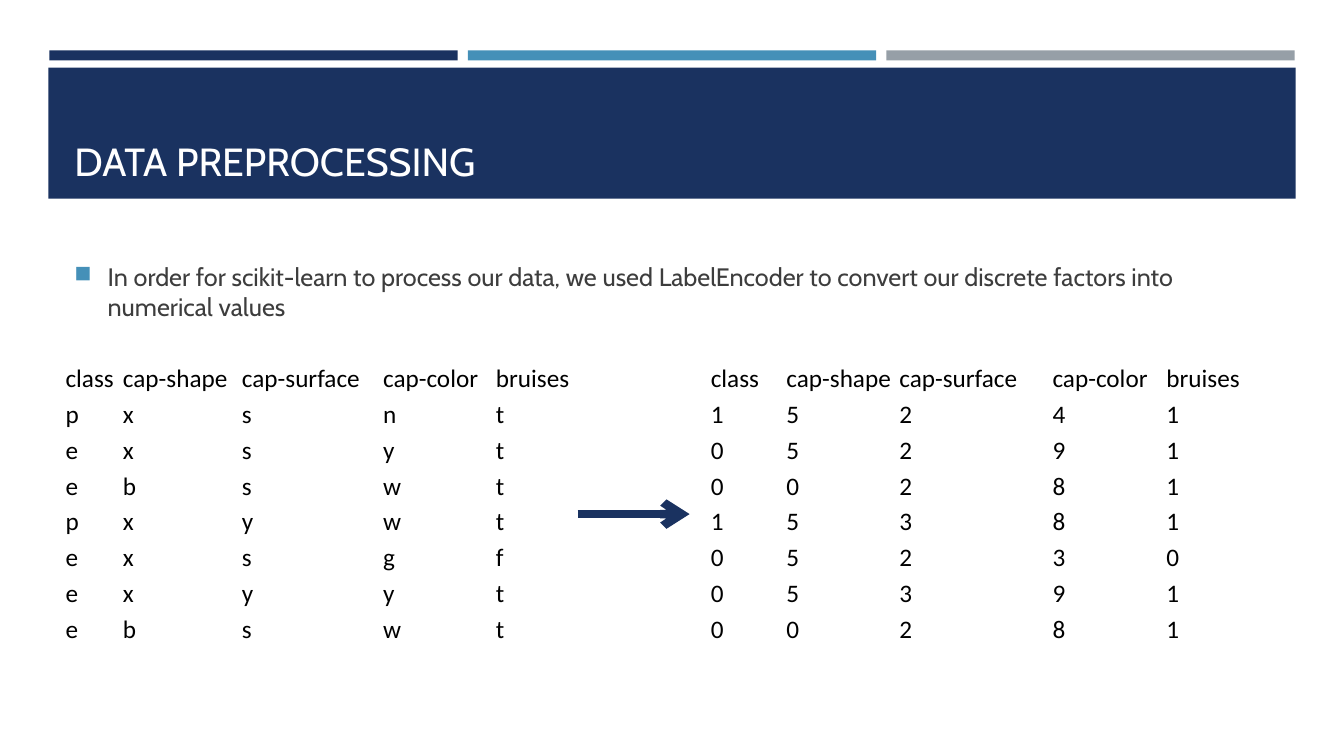
from dataclasses import dataclass

import pptx
import pptx.dml.color
import pptx.enum.shapes
import pptx.enum.text
import pptx.oxml
import pptx.oxml.ns
import pptx.util
from pptx.util import Inches

ANCHOR = pptx.enum.text.MSO_ANCHOR
NO_STYLE = "{2D5ABB26-0587-4C30-8999-92F81FD0307C}"


@dataclass(frozen=True)
class Theme:
    navy: str = "1A3260"
    blue: str = "4590B8"
    gray: str = "969FA7"
    white: str = "FFFFFF"
    body: str = "3D3D3D"
    black: str = "000000"
    heading_font: str = "Cabin"
    table_font: str = "Calibri"
    title_size: float = 28
    text_size: float = 18
    arrow_width: float = 6


@dataclass(frozen=True)
class Box:
    left: float
    top: float
    width: float
    height: float

    def emu(self) -> tuple:
        return tuple(Inches(v) for v in (self.left, self.top, self.width, self.height))


@dataclass(frozen=True)
class DataTable:
    left: float
    widths: tuple
    rows: tuple


THEME = Theme()
HEADER = "class cap-shape cap-surface cap-color bruises"
TABLE_TOP, ROW_HEIGHT = 3.56, 2.84 / 8
TABLES = (
    DataTable(0.64, (0.57, 1.18, 1.4, 1.12, 1.02),
              ("p x s n t", "e x s y t", "e b s w t", "p x y w t",
               "e x s g f", "e x y y t", "e b s w t")),
    DataTable(7.04, (0.75, 1.12, 1.52, 1.13, 1.13),
              ("1 5 2 4 1", "0 5 2 9 1", "0 0 2 8 1", "1 5 3 8 1",
               "0 5 2 3 0", "0 5 3 9 1", "0 0 2 8 1")),
)


def rgb(color: str) -> pptx.dml.color.RGBColor:
    return pptx.dml.color.RGBColor.from_string(color)


def xml(tag: str, **attrs: str):
    el = pptx.oxml.parse_xml(f"<a:{tag} {pptx.oxml.ns.nsdecls('a')}/>")
    for name, value in attrs.items():
        el.set(name, value)
    return el


def style_text(tf, size: float, font: str, color: str) -> None:
    for p in tf.paragraphs:
        for r in p.runs:
            r.font.size = pptx.util.Pt(size)
            r.font.name = font
            r.font.color.rgb = rgb(color)


def add_bar(slide, box: Box, color: str) -> None:
    sp = slide.shapes.add_shape(pptx.enum.shapes.MSO_SHAPE.RECTANGLE, *box.emu())
    sp.shadow.inherit = False
    sp.fill.solid()
    sp.fill.fore_color.rgb = rgb(color)
    sp.line.fill.background()


def add_text(slide, box: Box, text: str, size: float, color: str, anchor: ANCHOR):
    tf = slide.shapes.add_textbox(*box.emu()).text_frame
    tf.word_wrap = True
    tf.vertical_anchor = anchor
    tf.text = text
    style_text(tf, size, THEME.heading_font, color)
    return tf.paragraphs[0]


def add_bullet(p, color: str) -> None:
    p.space_before = pptx.util.Pt(3.6)
    p.space_after = pptx.util.Pt(6)
    pPr = p._p.get_or_add_pPr()
    pPr.set("marL", str(Inches(0.33)))
    pPr.set("indent", str(Inches(-0.33)))
    buClr = xml("buClr")
    buClr.append(xml("srgbClr", val=color))
    pPr.extend([buClr, xml("buSzPct", val="92000"), xml("buChar", char="■")])


def add_data_table(slide, data: DataTable) -> None:
    lines = (HEADER,) + data.rows
    box = Box(data.left, TABLE_TOP, sum(data.widths), ROW_HEIGHT * len(lines))
    table = slide.shapes.add_table(len(lines), len(data.widths), *box.emu()).table
    table.first_row = table.horz_banding = False
    table._tbl.tblPr.find(pptx.oxml.ns.qn("a:tableStyleId")).text = NO_STYLE
    for column, width in zip(table.columns, data.widths):
        column.width = Inches(width)
    for row, line in zip(table.rows, lines):
        row.height = Inches(ROW_HEIGHT)
        for cell, value in zip(row.cells, line.split()):
            cell.fill.background()
            cell.margin_left = cell.margin_right = cell.margin_top = Inches(0.01)
            cell.margin_bottom = 0
            cell.vertical_anchor = ANCHOR.BOTTOM
            cell.text_frame.text = value
            style_text(cell.text_frame, THEME.text_size, THEME.table_font, THEME.black)


def add_arrow(slide, start: float, end: float, y: float) -> None:
    line = slide.shapes.add_connector(
        pptx.enum.shapes.MSO_CONNECTOR.STRAIGHT,
        Inches(start), Inches(y), Inches(end), Inches(y))
    line.line.color.rgb = rgb(THEME.navy)
    line.line.width = pptx.util.Pt(THEME.arrow_width)
    line.line._get_or_add_ln().append(xml("tailEnd", type="arrow"))
    line._element.spPr.append(xml("effectLst"))


def main() -> None:
    prs = pptx.Presentation()
    prs.slide_width, prs.slide_height = Inches(13.33), Inches(7.5)
    slide = prs.slides.add_slide(prs.slide_layouts[6])

    for i, color in enumerate((THEME.navy, THEME.blue, THEME.gray)):
        add_bar(slide, Box(0.49 + 4.15 * i, 0.5, 4.05, 0.1), color)
    add_bar(slide, Box(0.48, 0.67, 12.37, 1.3), THEME.navy)

    add_text(slide, Box(0.64, 0.77, 12.06, 1.11), "DATA PREPROCESSING",
             THEME.title_size, THEME.white, ANCHOR.BOTTOM)
    p = add_text(slide, Box(0.64, 2.38, 12.06, 1.03),
                 "In order for scikit-learn to process our data, we used LabelEncoder "
                 "to convert our discrete factors into numerical values",
                 THEME.text_size, THEME.body, ANCHOR.MIDDLE)
    add_bullet(p, THEME.blue)

    for data in TABLES:
        add_data_table(slide, data)
    add_arrow(slide, 5.73, 6.84, 5.1)
    prs.save("out.pptx")


main()
